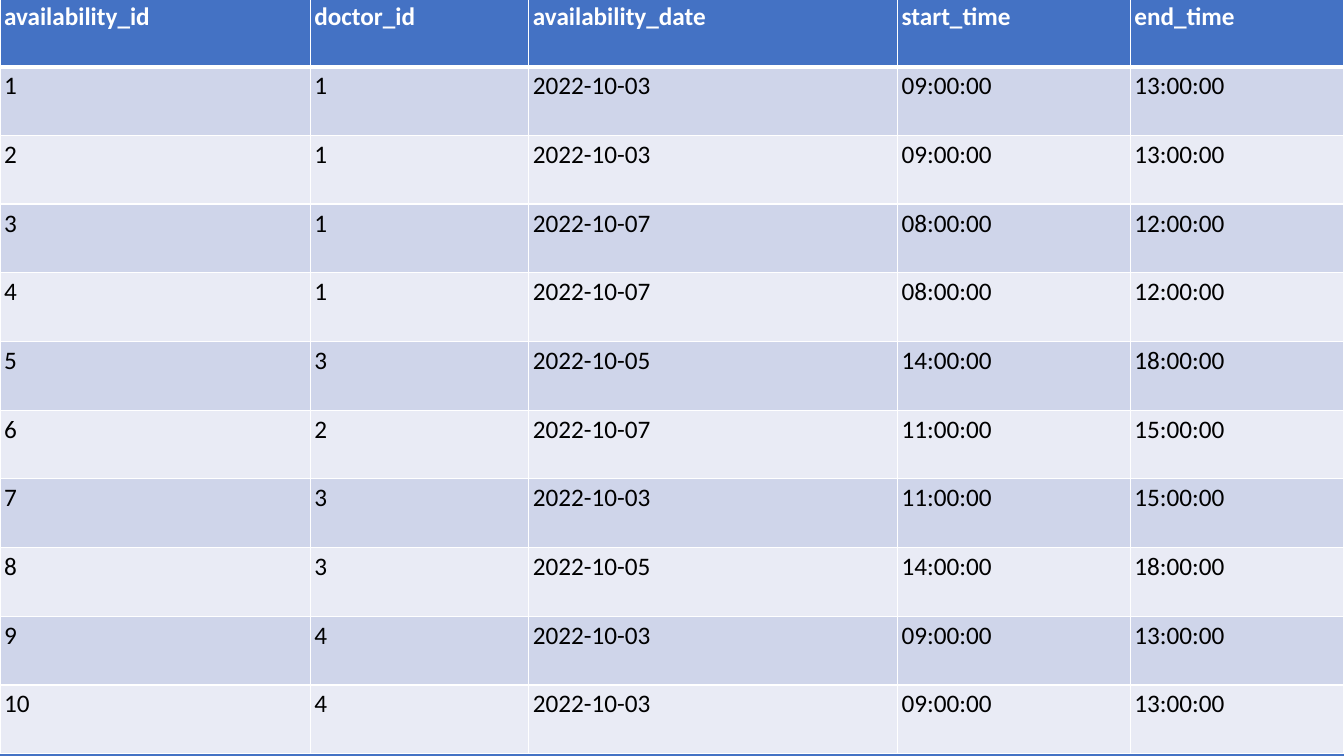
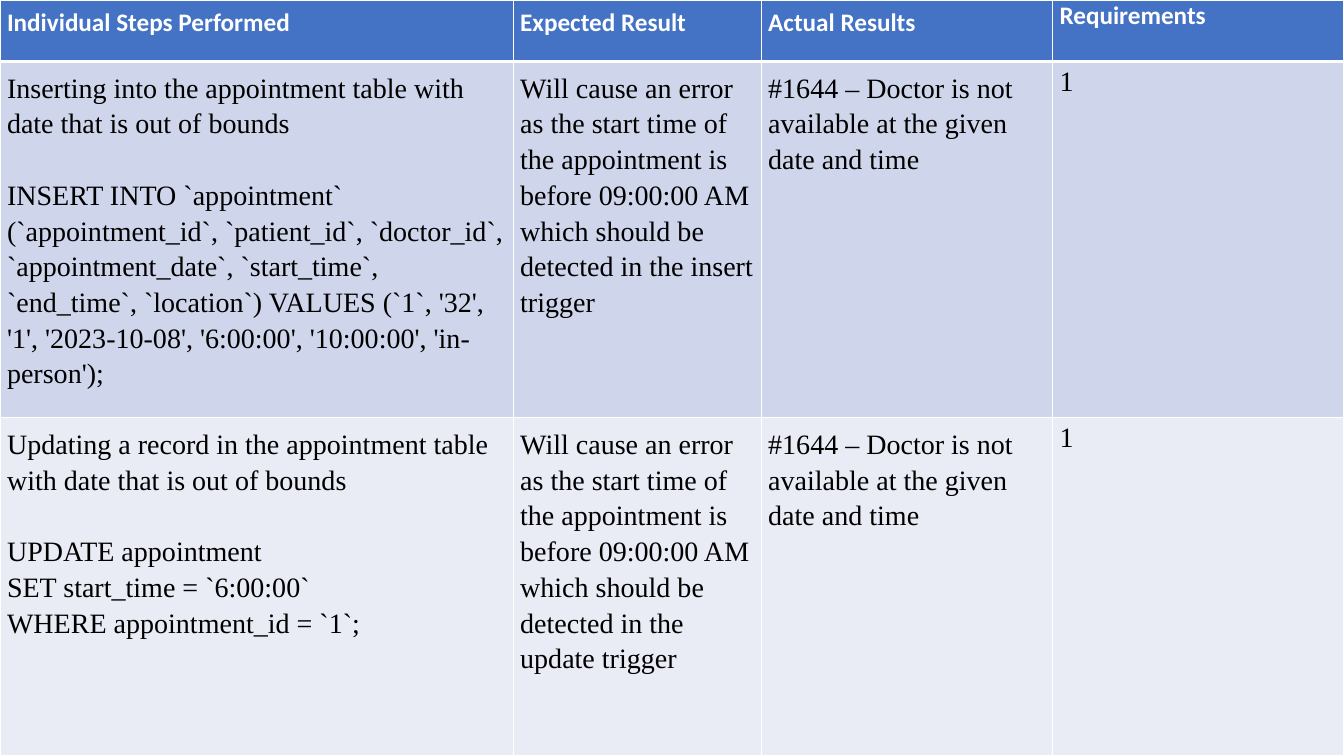
from dataclasses import dataclass

from lxml.etree import SubElement
from pptx import Presentation
from pptx.dml.color import RGBColor
from pptx.oxml.ns import qn
from pptx.util import Inches, Pt


@dataclass(frozen=True)
class Theme:
    blue: str = "4472C4"
    white: str = "FFFFFF"
    black: str = "000000"
    bands: tuple = ("CFD5EA", "E9EBF5")
    sans: str = "Calibri"
    serif: str = "Times New Roman"
    label_size: int = 18
    body_size: int = 20
    body_spacing: float = 1.15
    gap: float = 25.5
    thin: int = 1
    thick: int = 3


theme = Theme()


def add_border(cell, side, points):
    properties = cell._tc.get_or_add_tcPr()
    line = SubElement(properties, qn(f"a:ln{side}"), w=str(Pt(points)))
    fill = SubElement(line, qn("a:solidFill"))
    SubElement(fill, qn("a:srgbClr"), val=theme.white)


def add_grid(page, top, column_shares, row_shares, rows, insets, body_font, body_size, body_spacing):
    frame = page.shapes.add_table(len(rows), len(column_shares), 0, top, deck.slide_width, deck.slide_height)
    table = frame.table
    table.horz_banding = False
    for column, share in zip(table.columns, column_shares):
        column.width = round(deck.slide_width * share / sum(column_shares))
    for row, share in zip(table.rows, row_shares):
        row.height = round(deck.slide_height * share / sum(row_shares))
    for row_number, texts in enumerate(rows):
        header = row_number == 0
        band = theme.blue if header else theme.bands[(row_number - 1) % 2]
        for column_number, text in enumerate(texts):
            cell = table.cell(row_number, column_number)
            side_inset, end_inset = insets[column_number]
            cell.margin_left = cell.margin_right = Inches(side_inset)
            cell.margin_top = cell.margin_bottom = Inches(end_inset)
            add_border(cell, "L", theme.thin)
            add_border(cell, "R", theme.thin)
            add_border(cell, "T", theme.thick if row_number == 1 else theme.thin)
            add_border(cell, "B", theme.thick if header else theme.thin)
            cell.fill.solid()
            cell.fill.fore_color.rgb = RGBColor.from_string(band)
            for block_number, block in enumerate(text.split("\n\n")):
                for line_number, line in enumerate(block.split("\n")):
                    first = block_number == line_number == 0
                    para = cell.text_frame.paragraphs[0] if first else cell.text_frame.add_paragraph()
                    if block_number and not line_number:
                        para.space_before = Pt(theme.gap)
                    if not header:
                        para.line_spacing = body_spacing
                    span = para.add_run()
                    span.text = line
                    span.font.name = theme.sans if header else body_font
                    span.font.size = Pt(theme.label_size if header else body_size)
                    span.font.bold = header
                    span.font.color.rgb = RGBColor.from_string(theme.white if header else theme.black)


deck = Presentation()
deck.slide_width = Inches(13.33)
deck.slide_height = Inches(7.5)
blank = deck.slide_layouts[6]

availability = [
    ("availability_id", "doctor_id", "availability_date", "start_time", "end_time"),
    ("1", "1", "2022-10-03", "09:00:00", "13:00:00"),
    ("2", "1", "2022-10-03", "09:00:00", "13:00:00"),
    ("3", "1", "2022-10-07", "08:00:00", "12:00:00"),
    ("4", "1", "2022-10-07", "08:00:00", "12:00:00"),
    ("5", "3", "2022-10-05", "14:00:00", "18:00:00"),
    ("6", "2", "2022-10-07", "11:00:00", "15:00:00"),
    ("7", "3", "2022-10-03", "11:00:00", "15:00:00"),
    ("8", "3", "2022-10-05", "14:00:00", "18:00:00"),
    ("9", "4", "2022-10-03", "09:00:00", "13:00:00"),
    ("10", "4", "2022-10-03", "09:00:00", "13:00:00"),
]
page = deck.slides.add_slide(blank)
page.background.fill.solid()
page.background.fill.fore_color.rgb = RGBColor.from_string(theme.blue)
add_grid(page, Inches(-0.02), (3.08, 2.17, 3.66, 2.31, 2.12), (1,) * len(availability), availability,
         [(0.04, 0.04)] * 5, theme.sans, theme.label_size, 1.0)

expected = ("Will cause an error as the start time of the appointment is before 09:00:00 AM "
            "which should be detected in the {} trigger")
actual = "#1644 – Doctor is not available at the given date and time"
insert_step = (
    "Inserting into the appointment table with date that is out of bounds\n\n"
    "INSERT INTO `appointment` (`appointment_id`, `patient_id`, `doctor_id`, `appointment_date`, "
    "`start_time`, `end_time`, `location`) VALUES (`1`, '32', '1', '2023-10-08', '6:00:00', "
    "'10:00:00', 'in-person');"
)
update_step = (
    "Updating a record in the appointment table with date that is out of bounds\n\n"
    "UPDATE appointment\nSET start_time = `6:00:00`\nWHERE appointment_id = `1`;"
)
trigger_tests = [
    ("Individual Steps Performed", "Expected Result", "Actual Results", "Requirements"),
    (insert_step, expected.format("insert"), actual, "1"),
    (update_step, expected.format("update"), actual, "1"),
]
page = deck.slides.add_slide(blank)
add_grid(page, 0, (5.09, 2.46, 2.89, 2.89), (0.61, 3.53, 3.35), trigger_tests,
         [(0.07, 0.07)] * 3 + [(0.07, 0)], theme.serif, theme.body_size, theme.body_spacing)

deck.save("out.pptx")
